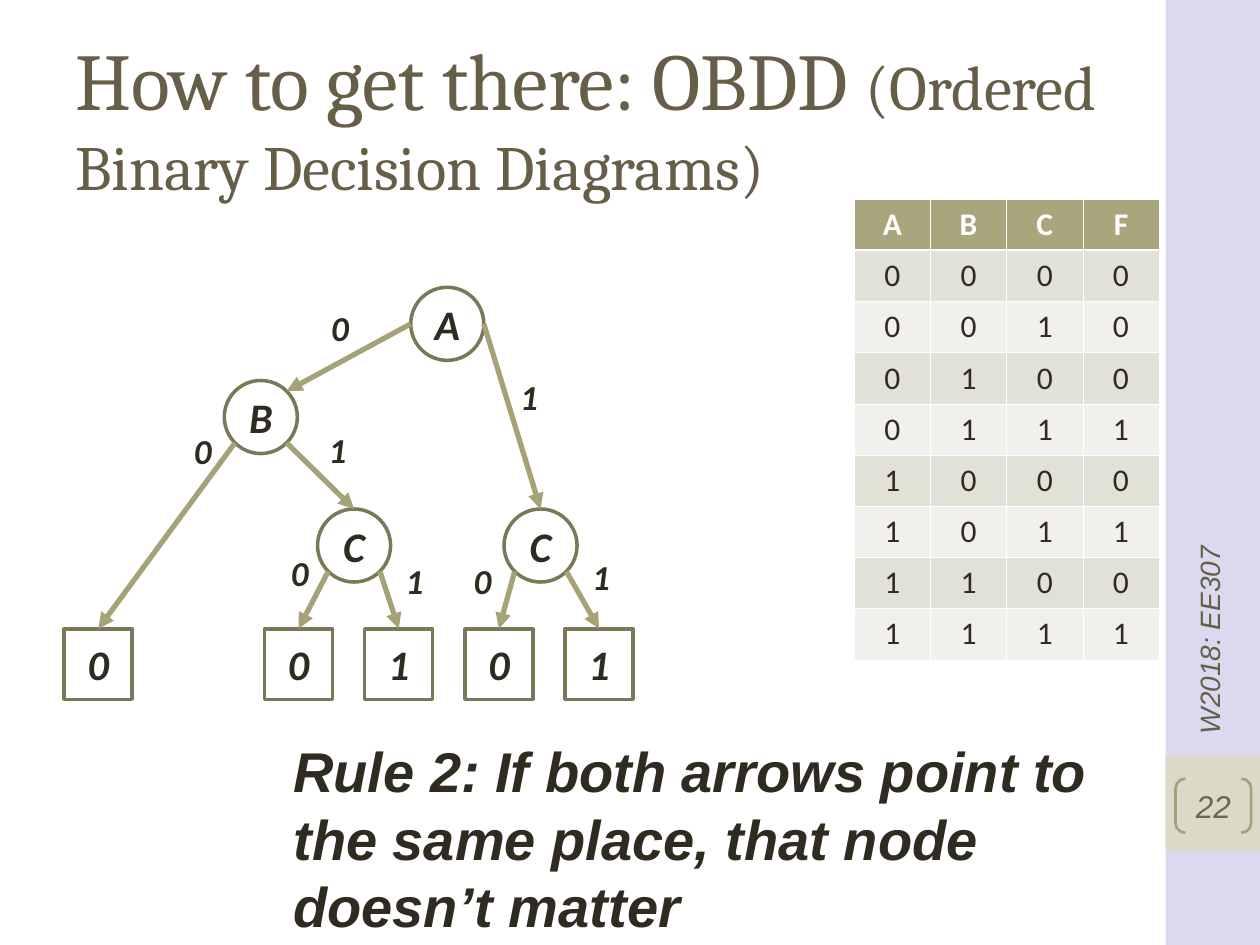
from dataclasses import dataclass
from itertools import product
from math import cos, radians, sin

from lxml import etree
from pptx import Presentation
from pptx.dml.color import RGBColor
from pptx.enum.shapes import MSO_CONNECTOR, MSO_SHAPE
from pptx.enum.text import MSO_ANCHOR, PP_ALIGN
from pptx.oxml.ns import qn
from pptx.util import Inches, Pt

RECT, OVAL, BRACKETS = MSO_SHAPE.RECTANGLE, MSO_SHAPE.OVAL, MSO_SHAPE.DOUBLE_BRACKET
STRAIGHT = MSO_CONNECTOR.STRAIGHT
TOP, MIDDLE = MSO_ANCHOR.TOP, MSO_ANCHOR.MIDDLE
LEFT, CENTER = PP_ALIGN.LEFT, PP_ALIGN.CENTER


@dataclass(frozen=True)
class Theme:
    white: str = "FFFFFF"
    ink: str = "2F2B20"
    title: str = "675E47"
    number: str = "6F664C"
    band: str = "DBD9EF"
    band_box: str = "DBD9C7"
    bracket: str = "A89D7F"
    outline: str = "7B7859"
    arrow: str = "A6A278"
    head: str = "A9A57C"
    rows: tuple = ("E2E1D7", "F1F0EC")
    serif: str = "Cambria"
    sans: str = "Arial"
    body: str = "Calibri"
    title_size: int = 46
    subtitle_size: int = 36
    rule_size: int = 32
    node_size: int = 24
    label_size: int = 20
    small_size: int = 18
    side_size: int = 16


T = Theme()
SLIDE_W, SLIDE_H = Inches(10), Inches(7.5)

# Tree grid, in percent of the slide's width and height
NODE_W, NODE_H = 5.8, 7.73
LEAF_W, LEAF_H = 5.4, 7.47
LABEL_W, LABEL_H = 3.5, 5.87
NODE_X, NODE_STEP = 20.7, 7.4
LEAF_X, LEAF_STEP, LEAF_Y = 7.8, 7.95, 70.27
ROW_Y = (34.27, 44.13, 57.73)

# Name: column, row; the first letter is the variable tested
NODES = {"A": (2, 0), "B": (0, 1), "C of B": (1, 2), "C of A": (3, 2)}
# Leaf column: value
LEAVES = {0: "0", 2: "0", 3: "1", 4: "0", 5: "1"}
# Parent, angle out, child (node name or leaf column), angle in, value, label centre
EDGES = [
    ("A", 180, "B", 45, "0", (27.05, 34.67)),
    ("A", 0, "C of A", 90, "1", (42.05, 42)),
    ("B", 225, 0, 90, "0", (16.15, 47.73)),
    ("B", 315, "C of B", 90, "1", (26.85, 47.6)),
    ("C of B", 225, 2, 90, "0", (23.85, 60.67)),
    ("C of B", 315, 3, 90, "1", (32.95, 61.47)),
    ("C of A", 225, 4, 90, "0", (38.35, 61.47)),
    ("C of A", 315, 5, 90, "1", (47.75, 61.07)),
]


def px(share):
    return round(SLIDE_W * share / 100)


def py(share):
    return round(SLIDE_H * share / 100)


def box(x, y, w, h):
    return px(x), py(y), px(w), py(h)


def centred(x, y, w, h):
    return box(x - w / 2, y - h / 2, w, h)


def rgb(code):
    return RGBColor.from_string(code)


def add_run(p, text, size, font, color, bold=False, italic=False):
    r = p.add_run()
    r.text = text
    f = r.font
    f.size, f.name, f.bold, f.italic = Pt(size), font, bold, italic
    f.color.rgb = rgb(color)


def add_text(s, place, *runs, anchor=TOP, wrap=True):
    tb = s.shapes.add_textbox(*place)
    tf = tb.text_frame
    tf.word_wrap, tf.vertical_anchor = wrap, anchor
    for run in runs:
        add_run(tf.paragraphs[0], *run)
    return tb


def add_shape(s, kind, place, fill=None, line=None, width=2, run=None):
    sp = s.shapes.add_shape(kind, *place)
    sp.shadow.inherit = False
    if fill:
        sp.fill.solid()
        sp.fill.fore_color.rgb = rgb(fill)
    else:
        sp.fill.background()
    if line:
        sp.line.color.rgb, sp.line.width = rgb(line), Pt(width)
    else:
        sp.line.fill.background()
    if run:
        tf = sp.text_frame
        tf.vertical_anchor = MIDDLE
        tf.paragraphs[0].alignment = CENTER
        add_run(tf.paragraphs[0], *run)
    return sp


def add_arrow(s, start, end):
    c = s.shapes.add_connector(STRAIGHT, px(start[0]), py(start[1]), px(end[0]), py(end[1]))
    c.line.color.rgb, c.line.width = rgb(T.arrow), Pt(3)
    etree.SubElement(c.line._get_or_add_ln(), qn("a:tailEnd"), type="triangle")
    etree.SubElement(c._element.spPr, qn("a:effectLst"))


def add_border(cell, side, width):
    ln = etree.SubElement(cell._tc.get_or_add_tcPr(), qn(f"a:{side}"), w=str(Pt(width)))
    fill = etree.SubElement(ln, qn("a:solidFill"))
    etree.SubElement(fill, qn("a:srgbClr"), val=T.white)


def add_truth_table(s, place):
    values = [(a, b, c, c & (a | b)) for a, b, c in product((0, 1), repeat=3)]
    rows = ["ABCF"] + values
    table = s.shapes.add_table(len(rows), 4, *place).table
    for i, row in enumerate(rows):
        for j, value in enumerate(row):
            cell = table.cell(i, j)
            for side in ("lnL", "lnR", "lnT", "lnB"):
                under_head = (i, side) in ((0, "lnB"), (1, "lnT"))
                add_border(cell, side, 1.47 if under_head else 0.45)
            cell.fill.solid()
            cell.fill.fore_color.rgb = rgb(T.rows[(i - 1) % 2] if i else T.head)
            p = cell.text_frame.paragraphs[0]
            p.alignment = CENTER
            add_run(p, str(value), T.small_size, T.body, T.ink if i else T.white, i == 0)


def node_centre(name):
    col, row = NODES[name]
    return NODE_X + col * NODE_STEP, ROW_Y[row]


def leaf_centre(col):
    return LEAF_X + col * LEAF_STEP, LEAF_Y


def port(target, angle):
    """Point on the edge of a node, or the top of a leaf."""
    if target in LEAVES:
        x, y = leaf_centre(target)
        return x, y - LEAF_H / 2
    x, y = node_centre(target)
    a = radians(angle)
    return x + cos(a) * NODE_W / 2, y - sin(a) * NODE_H / 2


def add_tree(s):
    style = (T.body, T.ink, True, True)
    for name in NODES:
        add_shape(s, OVAL, centred(*node_centre(name), NODE_W, NODE_H), T.white, T.outline,
                  run=(name[0], T.node_size, *style))
    for col, value in LEAVES.items():
        add_shape(s, RECT, centred(*leaf_centre(col), LEAF_W, LEAF_H), T.white, T.outline,
                  run=(value, T.node_size, *style))
    for parent, out, child, into, value, spot in EDGES:
        add_arrow(s, port(parent, out), port(child, into))
        add_text(s, centred(*spot, LABEL_W, LABEL_H), (value, T.label_size, *style), wrap=False)


def add_side_band(s):
    add_shape(s, RECT, box(92.5, 0, 7.5, 100), T.band)
    add_shape(s, RECT, box(92.5, 80, 7.5, 10), T.band_box)
    number = add_shape(s, BRACKETS, box(93.3, 82.4, 6, 5.73), line=T.bracket, width=1.5,
                       run=("22", T.small_size, T.sans, T.number, False, True))
    number.adjustments[0] = 0.18
    tf = number.text_frame
    tf.margin_left = tf.margin_right = tf.margin_top = tf.margin_bottom = 0
    course = add_text(s, box(75.1, 48.53, 41.7, 5.33),
                      ("W2018: EE307", T.side_size, T.sans, T.title, False, True), anchor=MIDDLE)
    course.rotation = 270


def main():
    prs = Presentation()
    prs.slide_width, prs.slide_height = SLIDE_W, SLIDE_H
    s = prs.slides.add_slide(prs.slide_layouts[6])

    add_side_band(s)
    # Title
    add_text(s, box(5, 4, 83.3, 16.67),
             ("How to get there: OBDD ", T.title_size, T.serif, T.title),
             ("(Ordered Binary Decision Diagrams)", T.subtitle_size, T.serif, T.title),
             anchor=MIDDLE)
    # Decision diagram and its rule
    add_tree(s)
    add_text(s, box(22.3, 77.33, 68.2, 22.67),
             ("Rule 2: If both arrows point to the same place, that node doesn’t matter",
              T.rule_size, T.sans, T.ink, True, True))
    # Truth table
    add_truth_table(s, box(67.8, 21.07, 24.2, 48.8))
    prs.save("out.pptx")


if __name__ == "__main__":
    main()
